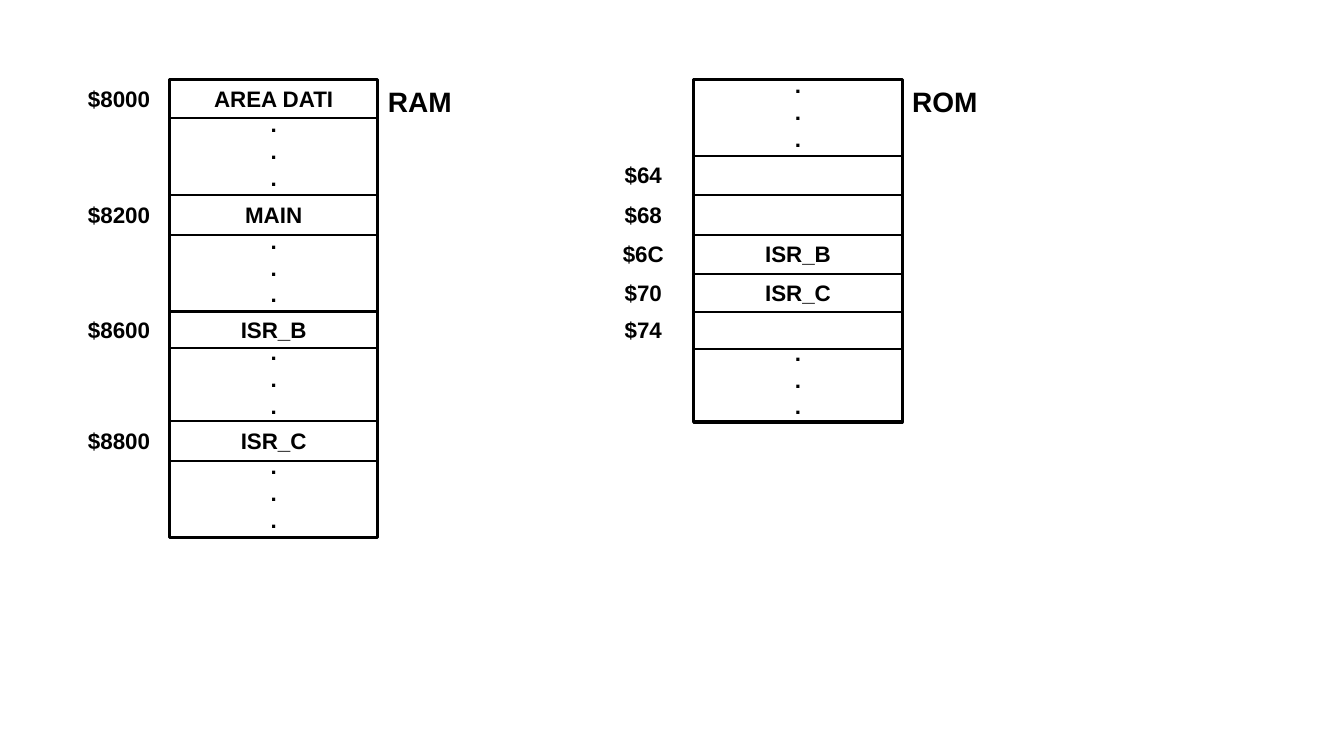
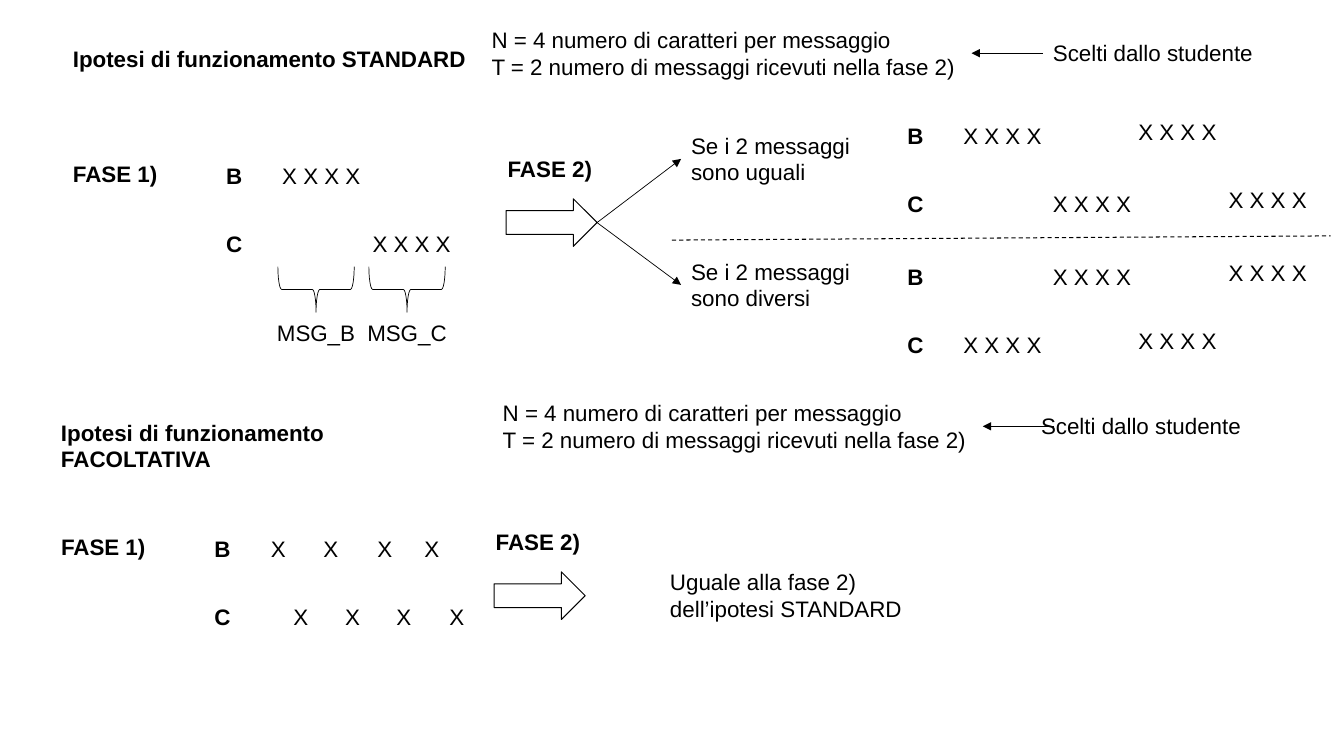
from pptx import Presentation
from pptx.dml.color import RGBColor
from pptx.enum.dml import MSO_LINE
from pptx.enum.shapes import MSO_CONNECTOR, MSO_SHAPE
from pptx.enum.text import MSO_AUTO_SIZE, PP_ALIGN
from pptx.oxml.ns import qn
from pptx.util import Pt
from lxml.etree import SubElement

BLACK = RGBColor(0, 0, 0)
FONT_NAME = "Arial"
TEXT_SIZE = 16
LINE_HEIGHT = 27
TWO_LINES_HEIGHT = 46
DOTS = ".\n.\n."
DOTS_HEIGHT = 65.5
DOTS_LIFT = 4
MEMORY_WIDTH = 149
ADDRESS_OFFSET = 36
CHANNEL_ROWS = {"B": 97, "C": 145.5}
CHANNEL_WIDTH = 29.5
MESSAGE = "X X X X"
MESSAGE_WIDTH = 71
PHASE_WIDTH = 75.5
TOP, LEFT, RIGHT = 0, 1, 3


def add_text(slide, text, left, top, width, height=LINE_HEIGHT, bold=False,
             size=TEXT_SIZE, alignment=PP_ALIGN.LEFT, wrap=False):
    box = slide.shapes.add_textbox(Pt(left), Pt(top), Pt(width), Pt(height))
    frame = box.text_frame
    frame.word_wrap = wrap
    frame.auto_size = MSO_AUTO_SIZE.SHAPE_TO_FIT_TEXT
    frame.text = text
    for paragraph in frame.paragraphs:
        paragraph.alignment = alignment
        paragraph.font.name = FONT_NAME
        paragraph.font.size = Pt(size)
        paragraph.font.bold = bold
        paragraph.font.color.rgb = BLACK
    return box


def add_centered(slide, text, center, middle, width, height=LINE_HEIGHT, bold=False):
    return add_text(slide, text, center - width / 2, middle - height / 2, width,
                    height, bold, alignment=PP_ALIGN.CENTER)


def add_outline(slide, kind, left, top, width, height, weight):
    shape = slide.shapes.add_shape(kind, Pt(left), Pt(top), Pt(width), Pt(height))
    shape.shadow.inherit = False
    shape.fill.background()
    shape.line.color.rgb = BLACK
    shape.line.width = Pt(weight)
    return shape


def add_line(slide, start, end, weight, arrow=False, dash=None):
    points = [Pt(value) for value in (*start, *end)]
    connector = slide.shapes.add_connector(MSO_CONNECTOR.STRAIGHT, *points)
    connector.line.color.rgb = BLACK
    connector.line.width = Pt(weight)
    if dash:
        connector.line.dash_style = dash
    properties = connector._element.spPr
    if arrow:
        SubElement(properties.find(qn("a:ln")), qn("a:tailEnd"), type="triangle")
    SubElement(properties, qn("a:effectLst"))
    return connector


def add_memory(slide, name, left, top, rows):
    total = sum(height for height, address, label in rows)
    add_outline(slide, MSO_SHAPE.RECTANGLE, left, top, MEMORY_WIDTH, total, 2.25)
    add_text(slide, name, left + MEMORY_WIDTH, top, 61, 31.5, bold=True, size=20)
    center = left + MEMORY_WIDTH / 2
    row_top = top
    for height, address, label in rows:
        middle = row_top + height / 2
        if row_top > top:
            add_line(slide, (left, row_top), (left + MEMORY_WIDTH, row_top), 1.5)
        if address:
            add_centered(slide, address, left - ADDRESS_OFFSET, middle, 59, bold=True)
        if label == DOTS:
            add_centered(slide, DOTS, center, middle - DOTS_LIFT, 19.5, DOTS_HEIGHT, True)
        elif label:
            add_centered(slide, label, center, middle, 101, bold=True)
        row_top += height


def add_hypothesis(slide, name, left, top, message, message_width, columns, note_shift=0):
    add_text(slide, f"Ipotesi di funzionamento {name}", left, top + 14, 299, bold=True)
    notes = add_text(slide, "N = 4 numero di caratteri per messaggio\n"
                     "T = 2 numero di messaggi ricevuti nella fase 2)",
                     left + 299 + note_shift, top, 350, TWO_LINES_HEIGHT)
    author = add_text(slide, "Scelti dallo studente", left + 700, top + 9.5, 159)
    pointer_left = left + 649 + note_shift
    pointer = add_line(slide, (pointer_left + 51, top + 23), (pointer_left, top + 23),
                       0.5, arrow=True)
    pointer.end_connect(notes, RIGHT)
    if not note_shift:
        pointer.begin_connect(author, LEFT)
    add_text(slide, "FASE 1)", left, top + 96, PHASE_WIDTH, bold=True)
    for channel, row_top in CHANNEL_ROWS.items():
        add_text(slide, channel, left + 109.5, top + row_top, CHANNEL_WIDTH,
                 bold=True, wrap=True)
        for column in columns[channel]:
            add_text(slide, message, left + column, top + row_top, message_width)
    add_text(slide, "FASE 2)", left + 310.5, top + 92, PHASE_WIDTH, bold=True)
    return add_outline(slide, MSO_SHAPE.RIGHT_ARROW, left + 316.5, top + 127, 65, 34, 0.75)


def add_message_braces(slide, left, top):
    width, height = 32.5, 54.5
    for index, label in enumerate(("MSG_B", "MSG_C")):
        center = left + height / 2 + index * 65
        brace = add_outline(slide, MSO_SHAPE.RIGHT_BRACE, center - width / 2,
                            top + (width - height) / 2, width, height, 0.5)
        brace.rotation = 90
        add_centered(slide, label, center, top + 47.5, 72)


def add_outcome(slide, description, left, top, description_top, columns, arrow):
    case = add_text(slide, description, left, description_top, 134,
                    TWO_LINES_HEIGHT, wrap=True)
    branch = add_line(slide, (left - 60, top), (left, top), 0.5, arrow=True)
    branch.begin_connect(arrow, RIGHT)
    branch.end_connect(case, LEFT)
    for index, channel in enumerate(CHANNEL_ROWS):
        row_top = top + index * 48.5
        add_text(slide, channel, left + 154.5, row_top, CHANNEL_WIDTH, bold=True, wrap=True)
        first, second = columns[channel]
        add_text(slide, MESSAGE, left + first, row_top, MESSAGE_WIDTH)
        add_text(slide, MESSAGE, left + second, row_top - 3, MESSAGE_WIDTH)


def build_memory_slide(slide):
    add_memory(slide, "RAM", 121, 57, [
        (27.5, "$8000", "AREA DATI"),
        (54.5, "", DOTS),
        (29, "$8200", "MAIN"),
        (54.5, "", DOTS),
        (26, "$8600", "ISR_B"),
        (52.5, "", DOTS),
        (28, "$8800", "ISR_C"),
        (55, "", DOTS),
    ])
    add_memory(slide, "ROM", 495.5, 57, [
        (54.5, "", DOTS),
        (27.5, "$64", ""),
        (29, "$68", ""),
        (27.5, "$6C", "ISR_B"),
        (27.5, "$70", "ISR_C"),
        (26, "$74", ""),
        (52.5, "", DOTS),
    ])


def build_hypotheses_slide(slide):
    arrow = add_hypothesis(slide, "STANDARD", 45, 15, MESSAGE, MESSAGE_WIDTH,
                           {"B": [149.5], "C": [214]})
    add_message_braces(slide, 198.5, 190.5)
    early, late = (194.5, 319.5), (258.5, 384)
    add_outcome(slide, "Se i 2 messaggi sono uguali", 486.5, 84, 90.5,
                {"B": early, "C": late}, arrow)
    add_outcome(slide, "Se i 2 messaggi sono diversi", 486.5, 184.5, 180.5,
                {"B": late, "C": early}, arrow)
    add_line(slide, (480, 171.5), (950.5, 168.5), 0.75, dash=MSO_LINE.DASH)
    add_hypothesis(slide, "FACOLTATIVA", 36.5, 281.5, "X", 25,
                   {"B": [150, 187.5, 226, 259.5], "C": [166, 203, 239.5, 277.5]},
                   note_shift=16.5)
    add_text(slide, "Uguale alla fase 2) dell’ipotesi STANDARD", 471.5, 402, 184.5,
             TWO_LINES_HEIGHT, wrap=True)


def main():
    presentation = Presentation()
    presentation.slide_width = Pt(960)
    presentation.slide_height = Pt(540)
    blank_layout = presentation.slide_layouts[6]
    for build in (build_memory_slide, build_hypotheses_slide):
        build(presentation.slides.add_slide(blank_layout))
    presentation.save("out.pptx")


if __name__ == "__main__":
    main()
